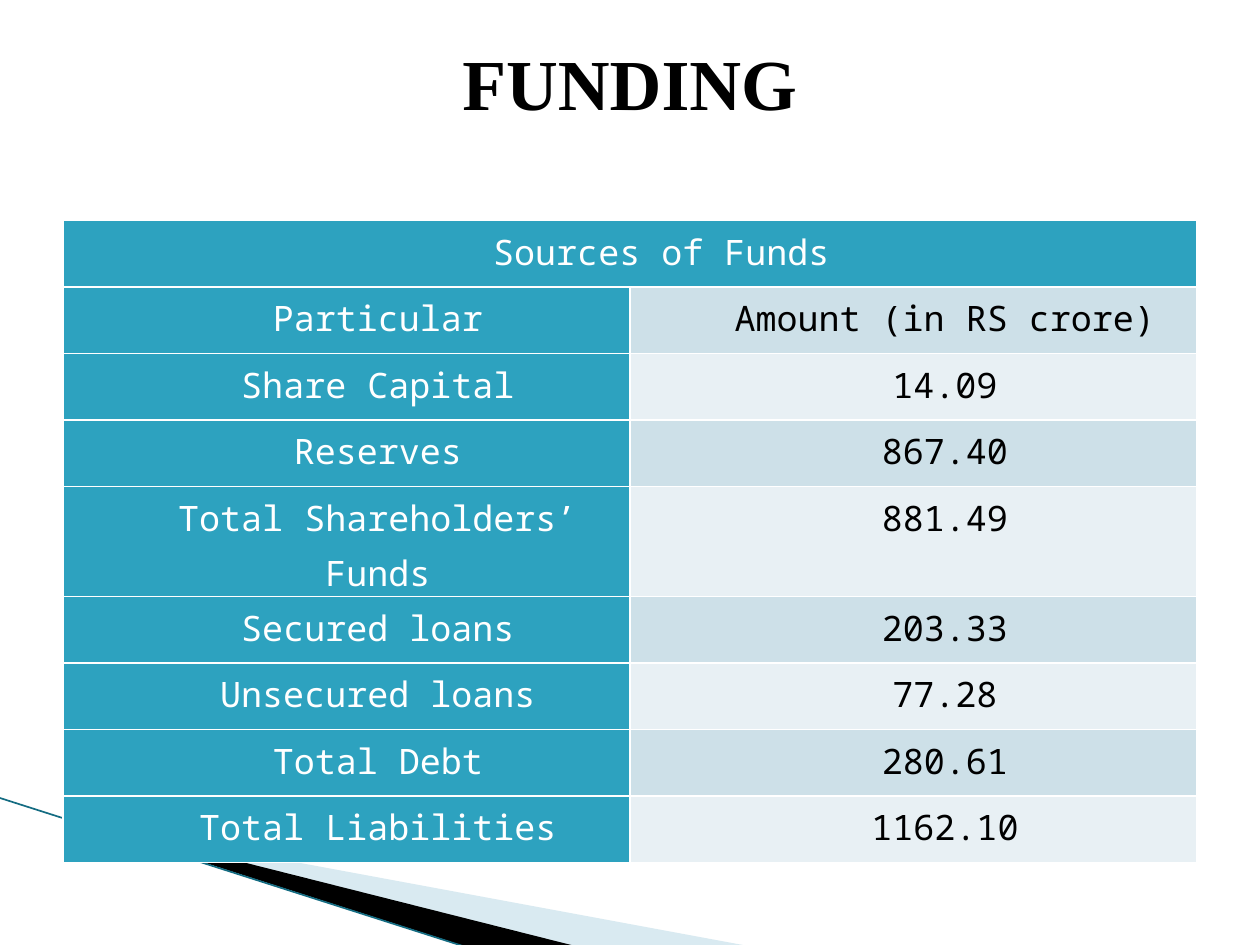
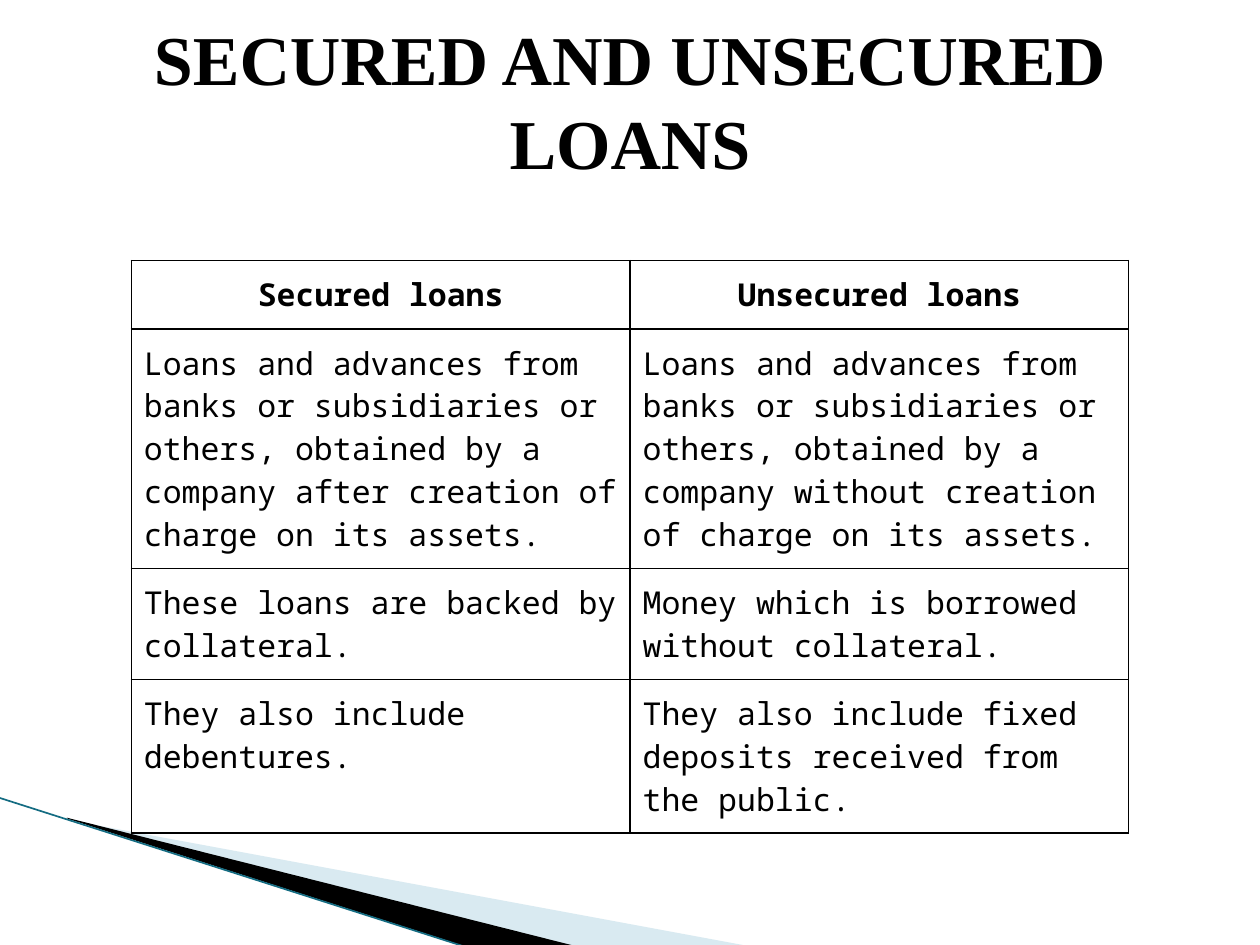
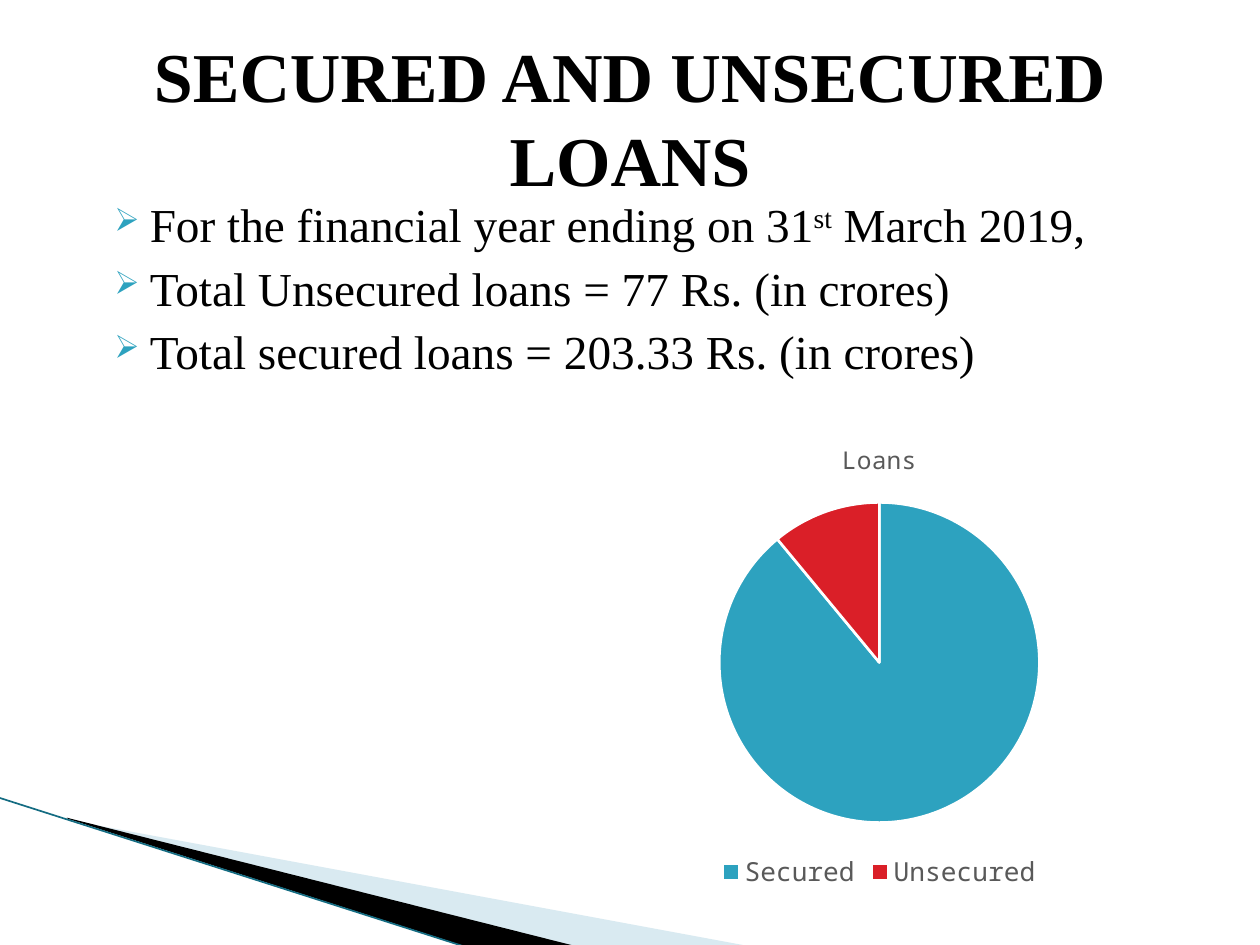
"""Build three slides on company funding and on secured and unsecured loans."""
from dataclasses import dataclass
from typing import Optional

from lxml.etree import SubElement
from pptx import Presentation
from pptx.chart.data import CategoryChartData
from pptx.dml.color import RGBColor
from pptx.enum.chart import XL_CHART_TYPE, XL_LEGEND_POSITION
from pptx.enum.text import MSO_ANCHOR, PP_ALIGN
from pptx.oxml.ns import qn
from pptx.slide import Slide
from pptx.util import Pt

BLACK = RGBColor(0x00, 0x00, 0x00)
WHITE = RGBColor(0xFF, 0xFF, 0xFF)
TEAL = RGBColor(0x2D, 0xA2, 0xBF)
RED = RGBColor(0xDA, 0x1F, 0x28)
GREY = RGBColor(0x59, 0x59, 0x59)
BAND_DARK = RGBColor(0xCD, 0xE0, 0xE8)
BAND_LIGHT = RGBColor(0xE8, 0xF0, 0xF4)
SWOOSH_BLUE = RGBColor(0xA0, 0xCB, 0xDC)
SWOOSH_EDGE = RGBColor(0x14, 0x6C, 0x82)

SERIF = "Times New Roman"
MONO = "Noto Sans Mono"


@dataclass(frozen=True)
class Wedge:
    """One filled sliver of the corner swoosh, with corners in points."""

    corners: tuple[tuple[float, float], ...]
    color: RGBColor
    opacity: int = 100


@dataclass(frozen=True)
class CellContent:
    """Wording and look of one table cell."""

    text: str
    color: RGBColor = BLACK
    fill: Optional[RGBColor] = None
    bold: bool = False
    align: PP_ALIGN = PP_ALIGN.LEFT


@dataclass(frozen=True)
class TableLayout:
    """Place and shared format of a table, in points."""

    left: float
    top: float
    column_width: float
    row_height: float
    inset_x: float
    inset_y: float
    size: float
    border: RGBColor
    indent: float = 0
    line_spacing: Optional[float] = None


WEDGES = (
    Wedge(((39.6, 468.7), (428.4, 540.7), (328.3, 540.7), (39.6, 468)), SWOOSH_BLUE, 40),
    Wedge(((38.2, 467.3), (329, 540.7), (267.8, 541.4), (38.9, 468)), BLACK),
)
FUNDS_LAYOUT = TableLayout(36, 126, 324, 38, 5, 0, 20, WHITE, 36, 1.15)
LOANS_LAYOUT = TableLayout(75, 149, 285, 30, 7.2, 7.2, 18, BLACK)

FUNDS = (
    ("Particular", "Amount (in RS crore)"),
    ("Share Capital", "14.09"),
    ("Reserves", "867.40"),
    ("Total Shareholders’ Funds", "881.49"),
    ("Secured loans", "203.33"),
    ("Unsecured loans", "77.28"),
    ("Total Debt", "280.61"),
    ("Total Liabilities", "1162.10"),
)
LOAN_TRAITS = (
    ("Loans and advances from banks or subsidiaries or others, obtained by a "
     "company after creation of charge on its assets.",
     "Loans and advances from banks or subsidiaries or others, obtained by a "
     "company without creation of charge on its assets."),
    ("These loans are backed by collateral.",
     "Money which is borrowed without collateral."),
    ("They also include debentures.",
     "They also include fixed deposits received from the public."),
)
LOAN_FACTS = (
    (("For the financial year ending on 31", 0), ("st", 30), (" March 2019,", 0)),
    (("Total Unsecured loans = 77 Rs. (in crores)", 0),),
    (("Total secured loans = 203.33 Rs. (in crores)", 0),),
)
LOANS_TITLE = "SECURED AND UNSECURED LOANS"


def write(paragraph, text: str, *, size: float, font: str = MONO,
          color: RGBColor = BLACK, bold: bool = False,
          align: Optional[PP_ALIGN] = None, raised: int = 0) -> None:
    """Append a formatted run to a paragraph."""
    run = paragraph.add_run()
    run.text = text
    run.font.size = Pt(size)
    run.font.name = font
    run.font.bold = bold
    run.font.color.rgb = color
    if align is not None:
        paragraph.alignment = align
    if raised:
        run.font._element.set("baseline", str(raised * 1000))


def indent(paragraph, margin: float, first_line: float = 0) -> None:
    """Set the left margin and first-line offset of a paragraph in points."""
    properties = paragraph._p.get_or_add_pPr()
    properties.set("marL", str(Pt(margin)))
    properties.set("indent", str(Pt(first_line)))


def add_arrow_bullet(paragraph) -> None:
    """Give a paragraph the teal arrow bullet."""
    properties = paragraph._p.get_or_add_pPr()
    tint = SubElement(properties, qn("a:buClr"))
    SubElement(tint, qn("a:srgbClr"), val=str(TEAL))
    SubElement(properties, qn("a:buSzPct"), val="68000")
    SubElement(properties, qn("a:buChar"), char="➢")


def add_swoosh(slide: Slide) -> None:
    """Draw the corner decoration shared by all slides."""
    for wedge in WEDGES:
        start, *rest = [(Pt(x), Pt(y)) for x, y in wedge.corners]
        builder = slide.shapes.build_freeform(*start)
        builder.add_line_segments(rest, close=True)
        sliver = builder.convert_to_shape()
        sliver.shadow.inherit = False
        sliver.line.fill.background()
        sliver.fill.solid()
        sliver.fill.fore_color.rgb = wedge.color
        if wedge.opacity < 100:
            tint = sliver._element.spPr.find(qn("a:solidFill"))[0]
            SubElement(tint, qn("a:alpha"), val=str(wedge.opacity * 1000))
    edge = slide.shapes.add_connector(1, Pt(-0.7), Pt(455.8), Pt(267), Pt(541.4))
    edge.line.color.rgb = SWOOSH_EDGE
    edge.line.width = Pt(0.95)
    SubElement(edge._element.spPr, qn("a:effectLst"))


def add_title(slide: Slide, text: str, top: float, size: float) -> None:
    """Add the centred serif title."""
    frame = slide.shapes.add_textbox(Pt(36), Pt(top), Pt(648), Pt(90)).text_frame
    frame.word_wrap = True
    frame.vertical_anchor = MSO_ANCHOR.MIDDLE
    write(frame.paragraphs[0], text, size=size, font=SERIF, bold=True,
          align=PP_ALIGN.CENTER)


def add_borders(cell, color: RGBColor) -> None:
    """Draw a one-point line on each side of a cell."""
    properties = cell._tc.get_or_add_tcPr()
    for side in ("lnL", "lnR", "lnT", "lnB"):
        line = SubElement(properties, qn(f"a:{side}"), w=str(Pt(1)))
        fill = SubElement(line, qn("a:solidFill"))
        SubElement(fill, qn("a:srgbClr"), val=str(color))


def add_grid(slide: Slide, rows: list[list[CellContent]], layout: TableLayout) -> None:
    """Add a two-column table; a row with one content spans both columns."""
    table = slide.shapes.add_table(
        len(rows), 2, Pt(layout.left), Pt(layout.top),
        Pt(2 * layout.column_width), Pt(len(rows) * layout.row_height)).table
    table.first_row = False
    table.horz_banding = False
    for row_index, contents in enumerate(rows):
        table.rows[row_index].height = Pt(layout.row_height)
        if len(contents) == 1:
            table.cell(row_index, 0).merge(table.cell(row_index, 1))
        for column_index in range(2):
            cell = table.cell(row_index, column_index)
            add_borders(cell, layout.border)
            content = contents[min(column_index, len(contents) - 1)]
            if content.fill is None:
                cell.fill.background()
            else:
                cell.fill.solid()
                cell.fill.fore_color.rgb = content.fill
            if cell.is_spanned:
                continue
            cell.margin_left = cell.margin_right = Pt(layout.inset_x)
            cell.margin_top = cell.margin_bottom = Pt(layout.inset_y)
            paragraph = cell.text_frame.paragraphs[0]
            indent(paragraph, layout.indent)
            if layout.line_spacing:
                paragraph.line_spacing = layout.line_spacing
            write(paragraph, content.text, size=layout.size, color=content.color,
                  bold=content.bold, align=content.align)


def add_loan_facts(slide: Slide) -> None:
    """Add the bulleted loan totals."""
    frame = slide.shapes.add_textbox(Pt(49.7), Pt(108), Pt(620.6), Pt(378.7)).text_frame
    frame.word_wrap = True
    for index, fact in enumerate(LOAN_FACTS):
        paragraph = frame.add_paragraph() if index else frame.paragraphs[0]
        paragraph.space_before = Pt(4)
        indent(paragraph, 28.8, -20.2)
        add_arrow_bullet(paragraph)
        for text, raised in fact:
            write(paragraph, text, size=27, font=SERIF, raised=raised)


def add_loans_pie(slide: Slide) -> None:
    """Add the pie of secured against unsecured loans."""
    shares = CategoryChartData()
    shares.categories = ("Secured", "Unsecured")
    shares.add_series("Loans", (89, 11))
    pie = slide.shapes.add_chart(XL_CHART_TYPE.PIE, Pt(306), Pt(240), Pt(393),
                                 Pt(271.5), shares).chart
    pie.font.name = MONO
    pie.font.size = Pt(10)
    pie.font.color.rgb = BLACK
    pie.has_title = True
    write(pie.chart_title.text_frame.paragraphs[0], "Loans", size=14, color=GREY)
    pie.chart_title.include_in_layout = False
    pie.has_legend = True
    pie.legend.position = XL_LEGEND_POSITION.BOTTOM
    pie.legend.include_in_layout = False
    pie.legend.font.name = MONO
    pie.legend.font.size = Pt(15)
    pie.legend.font.color.rgb = GREY
    plot = pie.plots[0]
    plot.vary_by_categories = True
    for index, color in enumerate((TEAL, RED)):
        wedge = plot.series[0].points[index].format
        wedge.fill.solid()
        wedge.fill.fore_color.rgb = color
        wedge.line.color.rgb = WHITE
        wedge.line.width = Pt(1.5)


def funds_rows() -> list[list[CellContent]]:
    """Return the funding table with its heading and banded amounts."""
    center = PP_ALIGN.CENTER
    rows = [[CellContent("Sources of Funds", WHITE, TEAL, align=center)]]
    for index, (source, amount) in enumerate(FUNDS):
        band = BAND_LIGHT if index % 2 else BAND_DARK
        rows.append([CellContent(source, WHITE, TEAL, align=center),
                     CellContent(amount, BLACK, band, align=center)])
    return rows


def loans_rows() -> list[list[CellContent]]:
    """Return the comparison table with its bold heading."""
    heading = [CellContent(kind, bold=True, align=PP_ALIGN.CENTER)
               for kind in ("Secured loans", "Unsecured loans")]
    return [heading] + [[CellContent(trait) for trait in pair] for pair in LOAN_TRAITS]


def main() -> None:
    """Build and save the presentation."""
    deck = Presentation()
    deck.slide_width, deck.slide_height = Pt(720), Pt(540)
    funding, comparison, totals = [
        deck.slides.add_slide(deck.slide_layouts[6]) for _ in range(3)]
    for slide in (funding, comparison, totals):
        add_swoosh(slide)

    add_grid(funding, funds_rows(), FUNDS_LAYOUT)
    add_title(funding, "FUNDING", 2, 41)

    add_grid(comparison, loans_rows(), LOANS_LAYOUT)
    add_title(comparison, LOANS_TITLE, 12, 40)

    add_loan_facts(totals)
    add_title(totals, LOANS_TITLE, 21.6, 40)
    add_loans_pie(totals)

    deck.save("out.pptx")


main()
